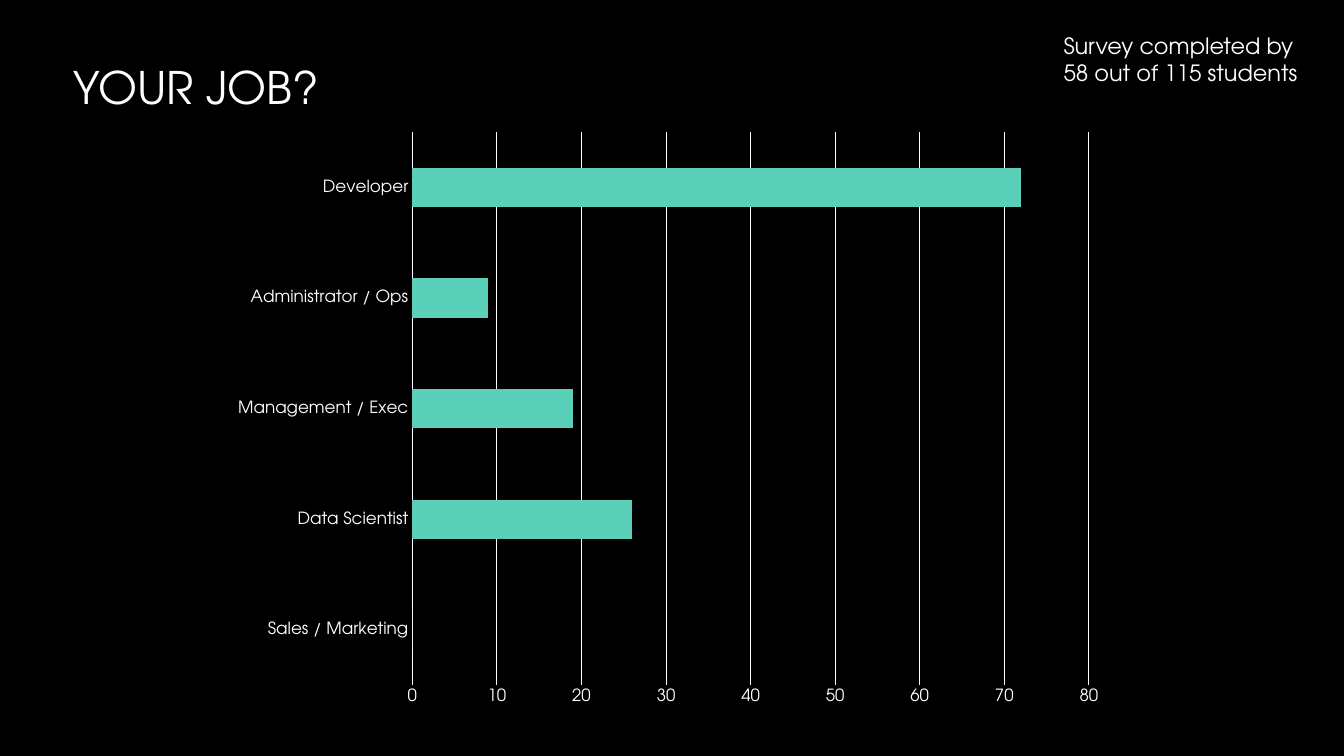
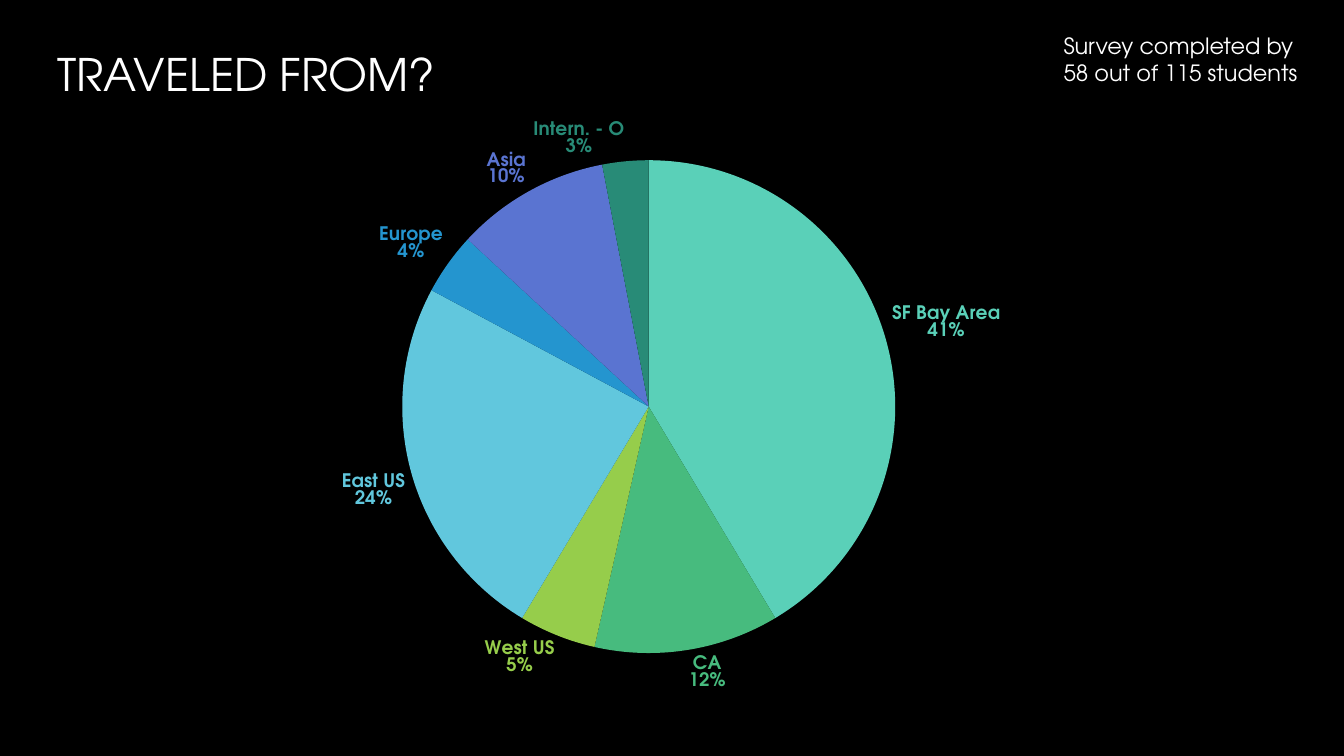
"""Build two survey result slides: a bar chart of jobs and a pie chart of origins."""
from dataclasses import dataclass

from lxml import etree
from pptx import Presentation
from pptx.chart.data import CategoryChartData
from pptx.dml.color import RGBColor
from pptx.enum.chart import XL_CHART_TYPE, XL_LABEL_POSITION, XL_TICK_MARK
from pptx.enum.text import MSO_ANCHOR, MSO_AUTO_SIZE, PP_ALIGN
from pptx.oxml.ns import qn
from pptx.util import Inches, Pt

BAR = XL_CHART_TYPE.BAR_CLUSTERED
PIE = XL_CHART_TYPE.PIE
OUTSIDE_END = XL_LABEL_POSITION.OUTSIDE_END
NO_TICK = XL_TICK_MARK.NONE
TOP = MSO_ANCHOR.TOP
LEFT = PP_ALIGN.LEFT
NO_AUTOFIT = MSO_AUTO_SIZE.NONE
TITLE_ONLY = 5


@dataclass(frozen=True)
class Theme:
    font: str = "TeX Gyre Adventor"
    background: str = "000000"
    text: str = "FFFFFF"
    title_fade: str = "A6A6A6"
    accent: str = "5AD0B8"
    slices: tuple = ("5AD0B8", "47BB7E", "96CD4B", "61C7DD",
                     "2495CF", "5A74D1", "288B77")
    title_size: float = 32
    note_size: float = 16
    chart_size: float = 10
    axis_size: float = 12
    label_size: float = 13.3
    line_width: float = 0.75


THEME = Theme()
SURVEY_NOTE = "Survey completed by 58 out of 115 students"
CHART_SIZE = (8.89, 5.93)
JOBS = {
    "Sales / Marketing": 0,
    "Data Scientist": 26,
    "Management / Exec": 19,
    "Administrator / Ops": 9,
    "Developer": 72,
}
ORIGINS = {
    "SF Bay Area": 41,
    "CA": 12,
    "West US": 5,
    "East US": 24,
    "Europe": 4,
    "Asia": 10,
    "Intern. - O": 3,
}


def rgb(color):
    return RGBColor.from_string(color)


def style_font(font, size, color=THEME.text, bold=False):
    font.name = THEME.font
    font.size = Pt(size)
    font.bold = bold
    font.fill.solid()
    font.fill.fore_color.rgb = rgb(color)


def write_text(shape, text, *, size, color=THEME.text, fade=None):
    frame = shape.text_frame
    frame.word_wrap = True
    frame.auto_size = NO_AUTOFIT
    frame.vertical_anchor = TOP
    paragraph = frame.paragraphs[0]
    paragraph.alignment = LEFT
    run = paragraph.add_run()
    run.text = text
    style_font(run.font, size, color)
    if fade:
        fill = run.font.fill
        fill.gradient()
        fill.gradient_angle = 267
        for stop, stop_color in zip(fill.gradient_stops, (color, fade)):
            stop.color.rgb = rgb(stop_color)


def style_line(line):
    line.color.rgb = rgb(THEME.text)
    line.width = Pt(THEME.line_width)


def place_plot(chart, left, top, width, height):
    area = chart.element.find(".//" + qn("c:plotArea"))
    for old_layout in area.findall(qn("c:layout")):
        area.remove(old_layout)
    layout = etree.Element(qn("c:layout"))
    area.insert(0, layout)
    manual = etree.SubElement(layout, qn("c:manualLayout"))
    chart_width, chart_height = CHART_SIZE
    settings = {
        "layoutTarget": "inner", "xMode": "edge", "yMode": "edge",
        "x": left / chart_width, "y": top / chart_height,
        "w": width / chart_width, "h": height / chart_height,
    }
    for tag, value in settings.items():
        etree.SubElement(manual, qn("c:" + tag), val=str(value))


class SurveyDeck:
    def __init__(self, theme):
        self.theme = theme
        self.deck = Presentation()
        self.deck.slide_width = Inches(13.33)
        self.deck.slide_height = Inches(7.5)
        backdrop = self.deck.slide_master.background.fill
        backdrop.solid()
        backdrop.fore_color.rgb = rgb(theme.background)
        self.slide = None

    def start_slide(self, question, left, top):
        self.slide = self.deck.slides.add_slide(self.deck.slide_layouts[TITLE_ONLY])
        title = self.slide.shapes.title
        title.left, title.top = Inches(left), Inches(top)
        title.width, title.height = Inches(9), Inches(0.75)
        write_text(title, question, size=self.theme.title_size,
                   fade=self.theme.title_fade)
        note = self.slide.shapes.add_textbox(
            Inches(10.45), Inches(0.27), Inches(2.61), Inches(0.64))
        write_text(note, SURVEY_NOTE, size=self.theme.note_size)

    def add_chart(self, kind, answers, left, top):
        data = CategoryChartData()
        data.categories = list(answers)
        data.add_series("Series 1", list(answers.values()))
        width, height = CHART_SIZE
        chart = self.slide.shapes.add_chart(
            kind, Inches(left), Inches(top), Inches(width), Inches(height), data).chart
        chart.has_title = False
        chart.has_legend = False
        style_font(chart.font, self.theme.chart_size)
        return chart

    def add_bars(self, answers, left, top):
        chart = self.add_chart(BAR, answers, left, top)
        place_plot(chart, 1.9, 0.12, 6.71, 5.49)
        plot = chart.plots[0]
        plot.gap_width = 182
        plot.vary_by_categories = False
        bars = plot.series[0].format.fill
        bars.solid()
        bars.fore_color.rgb = rgb(self.theme.accent)
        names, scale = chart.category_axis, chart.value_axis
        for axis in (names, scale):
            axis.major_tick_mark = NO_TICK
            axis.minor_tick_mark = NO_TICK
            style_font(axis.tick_labels.font, self.theme.axis_size)
        style_line(names.format.line)
        scale.format.line.fill.background()
        scale.minimum_scale, scale.maximum_scale = 0, 80
        scale.major_unit = 10
        scale.has_major_gridlines = True
        style_line(scale.major_gridlines.format.line)

    def add_pie(self, answers, left, top):
        chart = self.add_chart(PIE, answers, left, top)
        place_plot(chart, 1.78, 0.53, 4.89, 4.89)
        plot = chart.plots[0]
        plot.vary_by_categories = True
        for index, color in enumerate(self.theme.slices):
            point = plot.series[0].points[index]
            point.format.fill.solid()
            point.format.fill.fore_color.rgb = rgb(color)
            point.format.line.fill.background()
            label = point.data_label
            style_font(label.font, self.theme.label_size, color, bold=True)
            label.position = OUTSIDE_END
        for label in chart.element.iter(qn("c:dLbl")):
            for flag, shown in (("showVal", "0"), ("showCatName", "1"),
                                ("showPercent", "1")):
                label.find(qn("c:" + flag)).set("val", shown)
            etree.SubElement(label, qn("c:separator")).text = "\n"

    def save(self):
        self.deck.save("out.pptx")


def main():
    survey = SurveyDeck(THEME)
    survey.start_slide("YOUR JOB?", 0.63, 0.54)
    survey.add_bars(JOBS, 2.19, 1.19)
    survey.start_slide("TRAVELED FROM?", 0.47, 0.41)
    survey.add_pie(ORIGINS, 2.21, 1.06)
    survey.save()


if __name__ == "__main__":
    main()
